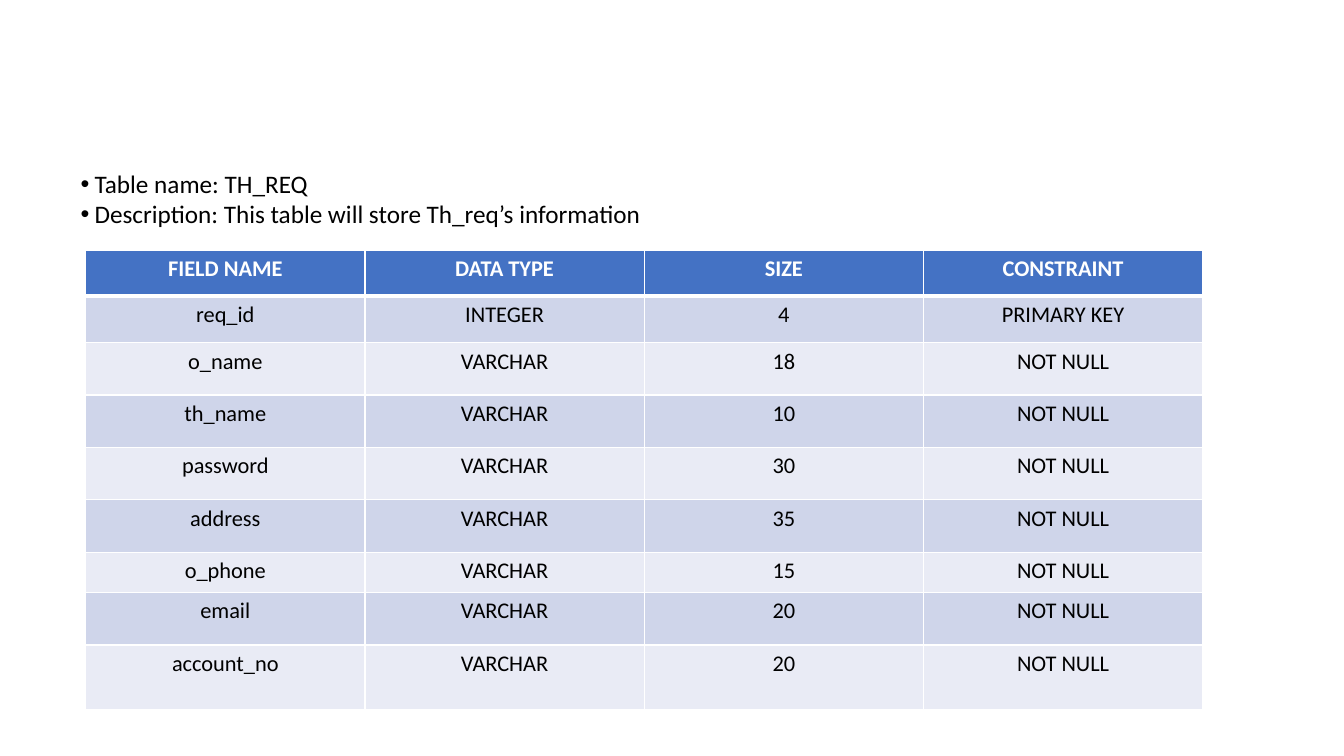
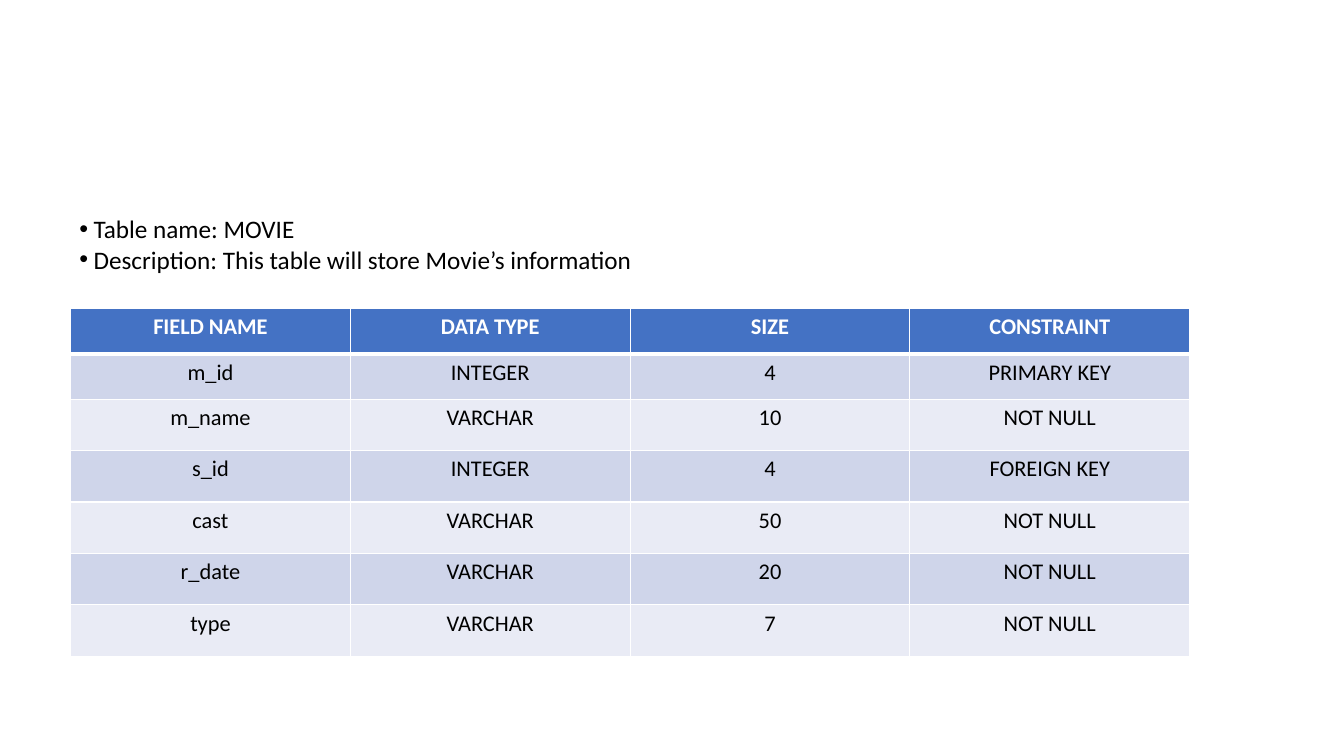
from dataclasses import dataclass

from lxml import etree
from pptx import Presentation
from pptx.dml.color import RGBColor
from pptx.enum.text import MSO_AUTO_SIZE, PP_ALIGN
from pptx.oxml.ns import qn
from pptx.util import Inches, Pt

CENTER = PP_ALIGN.CENTER
GROW = MSO_AUTO_SIZE.SHAPE_TO_FIT_TEXT
BLANK_LAYOUT = 6


@dataclass(frozen=True)
class Theme:
    font: str = "Calibri"
    caption_size: int = 18
    cell_size: int = 16
    header_fill: str = "4472C4"
    band_fills: tuple = ("CFD5EA", "E9EBF5")
    text: str = "000000"
    white: str = "FFFFFF"
    thin_rule: int = 1
    header_rule: int = 3
    bullet_indent: float = 0.14


THEME = Theme()

# Content: one database table per slide
HEADINGS = ("FIELD NAME", "DATA TYPE", "SIZE", "CONSTRAINT")
SLIDES = [
    {
        "caption": ("Table name: TH_REQ",
                    "Description: This table will store Th_req’s information"),
        "caption_at": (0.7, 1.62, 7.11, 0.71),
        "fields": [
            ("req_id", "INTEGER", "4", "PRIMARY KEY"),
            ("o_name", "VARCHAR", "18", "NOT NULL"),
            ("th_name", "VARCHAR", "10", "NOT NULL"),
            ("password", "VARCHAR", "30", "NOT NULL"),
            ("address", "VARCHAR", "35", "NOT NULL"),
            ("o_phone", "VARCHAR", "15", "NOT NULL"),
            ("email", "VARCHAR", "20", "NOT NULL"),
            ("account_no", "VARCHAR", "20", "NOT NULL"),
        ],
        "grid_at": (0.85, 2.48, 11.08),
        "row_heights": [0.46] * 2 + [0.52] * 4 + [0.4, 0.52, 0.64],
    },
    {
        "caption": ("Table name: MOVIE",
                    "Description: This table will store Movie’s information"),
        "caption_at": (0.69, 2.07, 5.97, 0.71),
        "fields": [
            ("m_id", "INTEGER", "4", "PRIMARY KEY"),
            ("m_name", "VARCHAR", "10", "NOT NULL"),
            ("s_id", "INTEGER", "4", "FOREIGN KEY"),
            ("cast", "VARCHAR", "50", "NOT NULL"),
            ("r_date", "VARCHAR", "20", "NOT NULL"),
            ("type", "VARCHAR", "7", "NOT NULL"),
        ],
        "grid_at": (0.7, 3.06, 11.1),
        "row_heights": [0.45] * 2 + [0.51] * 5,
    },
]


def format_font(font, size, color, bold=False):
    values = {"name": THEME.font, "size": Pt(size), "bold": bold}
    for attribute, value in values.items():
        setattr(font, attribute, value)
    font.color.rgb = RGBColor.from_string(color)


def add_bullet(paragraph):
    properties = paragraph._p.get_or_add_pPr()
    indent = Inches(THEME.bullet_indent)
    properties.set("marL", str(indent))
    properties.set("indent", str(-indent))
    etree.SubElement(properties, qn("a:buFont"), typeface="Arial")
    etree.SubElement(properties, qn("a:buChar"), char="•")


def add_caption(slide, lines, place):
    caption = slide.shapes.add_textbox(*map(Inches, place))
    frame = caption.text_frame
    frame.word_wrap = True
    frame.auto_size = GROW
    frame.text = "\n".join(lines)
    for paragraph in frame.paragraphs:
        add_bullet(paragraph)
        format_font(paragraph.font, THEME.caption_size, THEME.text)


def add_borders(cell, row):
    # The heavy rule lies between the header and the first field
    widths = {side: THEME.thin_rule for side in "LRTB"}
    if row < 2:
        widths["TB"[row == 0]] = THEME.header_rule
    properties = cell._tc.get_or_add_tcPr()
    for side, width in widths.items():
        line = etree.SubElement(properties, qn(f"a:ln{side}"), w=str(Pt(width)))
        fill = etree.SubElement(line, qn("a:solidFill"))
        etree.SubElement(fill, qn("a:srgbClr"), val=THEME.white)


def format_cell(cell, row, text):
    is_header = row == 0
    add_borders(cell, row)
    fill = THEME.header_fill if is_header else THEME.band_fills[(row - 1) % 2]
    cell.fill.solid()
    cell.fill.fore_color.rgb = RGBColor.from_string(fill)
    cell.text = text
    paragraph = cell.text_frame.paragraphs[0]
    paragraph.alignment = CENTER
    color = THEME.white if is_header else THEME.text
    format_font(paragraph.runs[0].font, THEME.cell_size, color, is_header)


def add_field_grid(slide, fields, place, row_heights):
    left, top, width = place
    rows = [HEADINGS, *fields]
    grid = slide.shapes.add_table(
        len(rows), len(HEADINGS), Inches(left), Inches(top),
        Inches(width), Inches(sum(row_heights))).table
    for column in grid.columns:
        column.width = Inches(width / len(HEADINGS))
    for row, (texts, height) in enumerate(zip(rows, row_heights)):
        grid.rows[row].height = Inches(height)
        for column, text in enumerate(texts):
            format_cell(grid.cell(row, column), row, text)


def main():
    deck = Presentation()
    deck.slide_width = Inches(13.33)
    deck.slide_height = Inches(7.5)
    for content in SLIDES:
        slide = deck.slides.add_slide(deck.slide_layouts[BLANK_LAYOUT])
        add_field_grid(slide, content["fields"], content["grid_at"],
                       content["row_heights"])
        add_caption(slide, content["caption"], content["caption_at"])
    deck.save("out.pptx")


if __name__ == "__main__":
    main()
